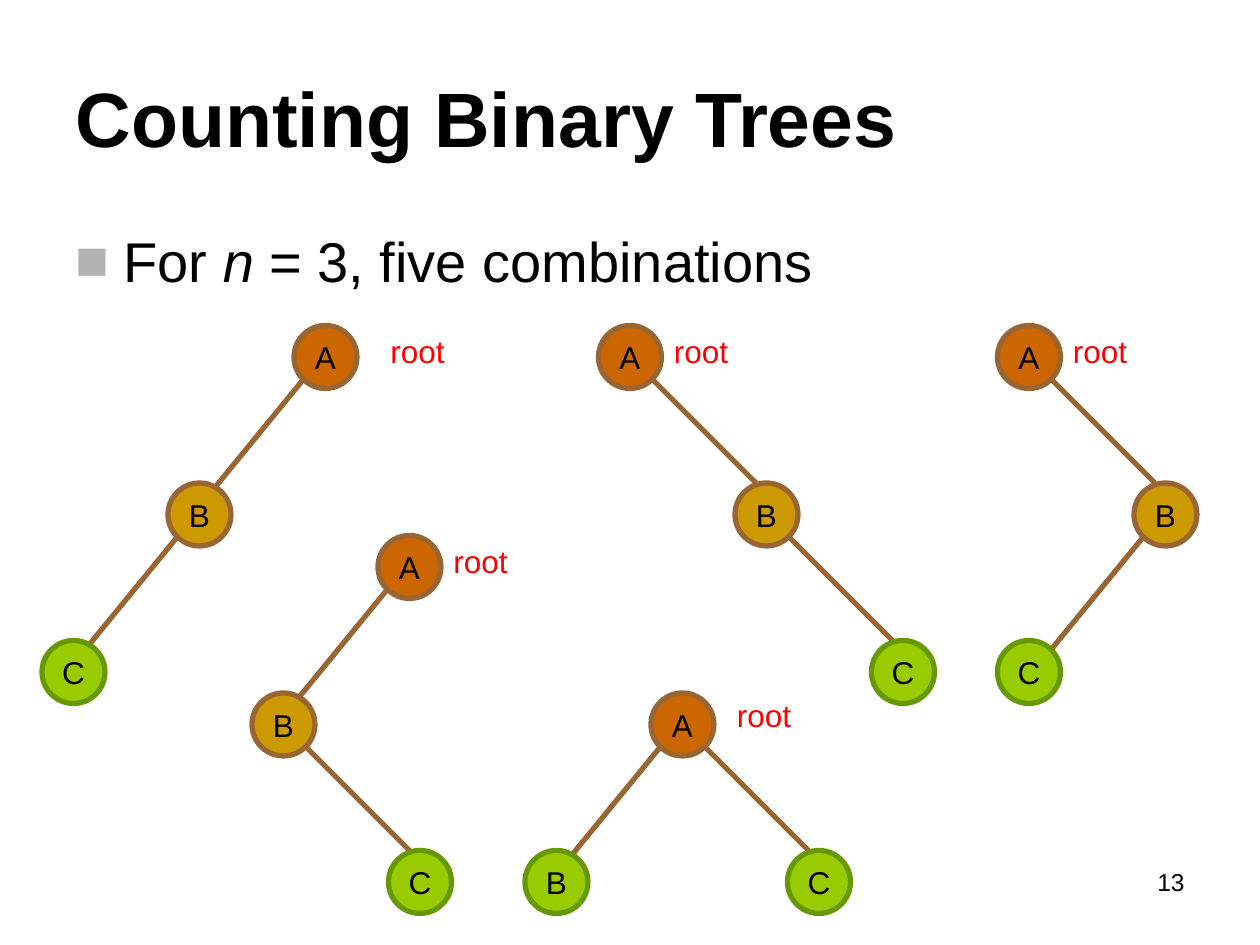
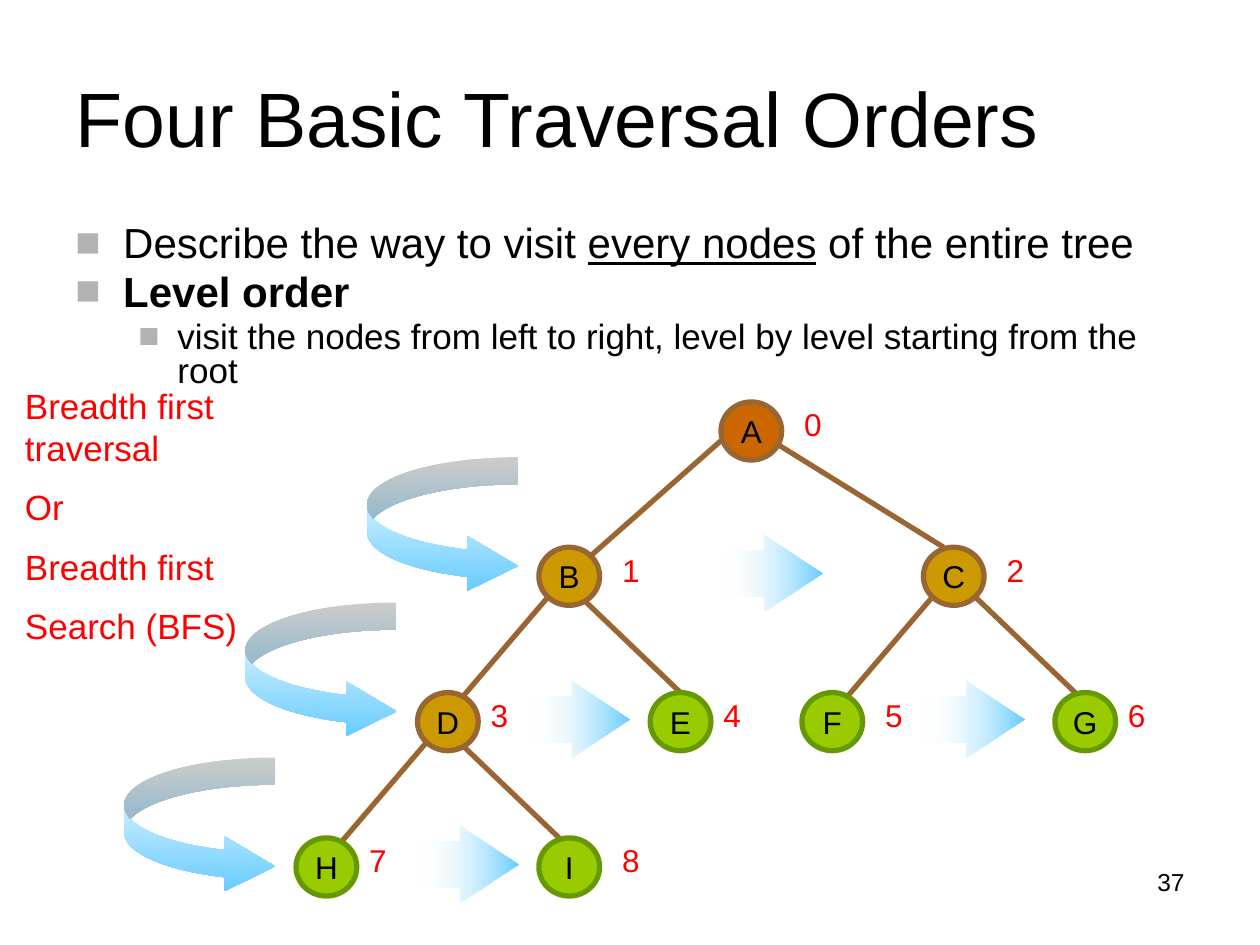
"""Builds two slides on binary trees: counting them and visiting them level by level."""
import pptx
import pptx.util
import pptx.dml.color
import pptx.enum.shapes
import pptx.enum.text
import pptx.oxml.ns
import lxml.etree

COLOURS = {"text": "000000", "note": "FF0000", "bullet": "B2B2B2", "root": "CC6600",
           "inner": "CC9900", "leaf": "99CC00", "branch": "996633", "leaf_rim": "669900",
           "sky": "66CCFF", "white": "FFFFFF"}
FONT = "Arial"
NODE_SPAN = 6
LEFT = ((1, 5), (-9, 11))
RIGHT = ((5, 5), (10, 10))
RIGHT_NEAR = ((4, 5), (10, 10))
ROOT_LEFT = ((0, 4), (-13, 12))
ROOT_RIGHT = ((5, 4), (17, 11))

COUNTING = {
    "title": "Counting Binary Trees", "title_bold": True, "number": "13", "body_height": 4.95,
    "body": [(0, 32, 1, [("For ", ""), ("n", "i"), (" = 3, five combinations", "")])],
    "grid": {"origin": (0, 0), "cell": (1 / 12, 1 / 12), "label_span": 19},
    "trees": [
        {"nodes": {"A": (28, 31, "root"), "B": (16, 46, "inner"), "C": (4, 61, "leaf")},
         "branches": [("A", LEFT), ("B", LEFT)], "labels": {"A": ("root", 8, 0)}},
        {"nodes": {"A": (57, 31, "root"), "B": (70, 46, "inner"), "C": (83, 61, "leaf")},
         "branches": [("A", RIGHT), ("B", RIGHT)], "labels": {"A": ("root", 6, 0)}},
        {"nodes": {"A": (95, 31, "root"), "B": (108, 46, "inner"), "C": (95, 61, "leaf")},
         "branches": [("A", RIGHT), ("B", LEFT)], "labels": {"A": ("root", 6, 0)}},
        {"nodes": {"A": (36, 51, "root"), "B": (24, 66, "inner"), "C": (37, 81, "leaf")},
         "branches": [("A", LEFT), ("B", RIGHT)], "labels": {"A": ("root", 6, 0)}},
        {"nodes": {"A": (62, 66, "root"), "B": (50, 81, "leaf"), "C": (75, 81, "leaf")},
         "branches": [("A", LEFT), ("A", RIGHT)], "labels": {"A": ("root", 7, -0.3)}},
    ],
}

LABEL_GAPS = {"A": 7, "B": 7, "C": 7, "D": 6, "E": 6, "F": 7, "G": 6, "H": 6, "I": 7}
TRAVERSAL = {
    "title": "Four Basic Traversal Orders", "title_bold": False, "number": "37", "body_height": 1.5,
    "body": [
        (0, 24, 0.8, [("Describe the way to visit ", ""), ("every nodes", "u"),
                      (" of the entire tree", "")]),
        (0, 24, 0.8, [("Level order", "b")]),
        (1, 20, 0.8, [("visit the nodes from left to right, level by level starting from the root",
                       "")]),
    ],
    "grid": {"origin": (2.35, 3.19), "cell": (0.0803, 0.0769), "label_span": 7},
    "trees": [
        {"nodes": {"A": (42, 0, "root"), "B": (24, 15, "inner"), "C": (62, 15, "inner"),
                   "D": (12, 30, "inner"), "E": (35, 30, "leaf"), "F": (50, 30, "leaf"),
                   "G": (75, 30, "leaf"), "H": (0, 45, "leaf"), "I": (24, 45, "leaf")},
         "branches": [("A", ROOT_LEFT), ("A", ROOT_RIGHT), ("B", LEFT), ("B", RIGHT_NEAR),
                      ("C", LEFT), ("C", RIGHT), ("D", LEFT), ("D", RIGHT_NEAR)],
         "labels": {name: (str(order), gap, -0.3)
                    for order, (name, gap) in enumerate(LABEL_GAPS.items())}},
    ],
}
BFS_NOTE = ["Breadth first traversal", "Or", "Breadth first", "Search (BFS)"]
NEXT_LEVEL_ARROWS = [(7, 5.7), (-5, 20.7), (-17, 36.7)]
NEXT_NODE_CENTRES = [(47, 17.7), (28, 32.7), (67, 32.7), (17, 47.7)]


def inches(*lengths):
    return [pptx.util.Inches(length) for length in lengths]


def rgb(name):
    return pptx.dml.color.RGBColor.from_string(COLOURS[name])


def add_run(paragraph, text, size, colour="text", style=""):
    run = paragraph.add_run()
    run.text = text
    font = run.font
    font.name, font.size = FONT, pptx.util.Pt(size)
    font.color.rgb = rgb(colour)
    font.bold, font.italic, font.underline = "b" in style, "i" in style, "u" in style


def add_text(slide, box, lines, size, colour="text", align=None):
    frame = slide.shapes.add_textbox(*inches(*box)).text_frame
    frame.word_wrap = True
    for index, line in enumerate(lines):
        paragraph = frame.add_paragraph() if index else frame.paragraphs[0]
        paragraph.alignment = align
        if index:
            paragraph.space_before = pptx.util.Pt(size / 2)
        add_run(paragraph, line, size, colour)


def add_bullet(paragraph, level):
    margin, hang = inches(*[(0.38, 0.38), (0.81, 0.31)][level])
    properties = paragraph._p.get_or_add_pPr()
    properties.set("marL", str(margin))
    properties.set("indent", str(-hang))
    qn = pptx.oxml.ns.qn
    colour = lxml.etree.SubElement(properties, qn("a:buClr"))
    lxml.etree.SubElement(colour, qn("a:srgbClr")).set("val", COLOURS["bullet"])
    lxml.etree.SubElement(properties, qn("a:buFont")).set("typeface", FONT)
    lxml.etree.SubElement(properties, qn("a:buChar")).set("char", "■")


def add_frame(deck, content):
    slide = deck.slides.add_slide(deck.slide_layouts[5])
    title = slide.shapes.title
    title.left, title.top, title.width, title.height = inches(0.5, 0.3, 9, 1.25)
    title.text_frame.vertical_anchor = pptx.enum.text.MSO_ANCHOR.MIDDLE
    title.text_frame.auto_size = pptx.enum.text.MSO_AUTO_SIZE.NONE
    heading = title.text_frame.paragraphs[0]
    heading.alignment = pptx.enum.text.PP_ALIGN.LEFT
    add_run(heading, content["title"], 44, style="b" if content["title_bold"] else "")

    body = slide.shapes.add_textbox(*inches(0.5, 1.75, 9, content["body_height"])).text_frame
    body.word_wrap = True
    for index, (level, size, spacing, runs) in enumerate(content["body"]):
        paragraph = body.add_paragraph() if index else body.paragraphs[0]
        paragraph.level = level
        paragraph.line_spacing = spacing
        paragraph.space_before = pptx.util.Pt(size * 0.2 if index else 0)
        add_bullet(paragraph, level)
        for text, style in runs:
            add_run(paragraph, text, size, style=style)
    add_text(slide, (7.17, 6.83, 2.33, 0.52), [content["number"]], 14,
             align=pptx.enum.text.PP_ALIGN.RIGHT)
    return slide


def place(grid, col, row):
    return [start + step * count
            for start, step, count in zip(grid["origin"], grid["cell"], (col, row))]


def add_branch(slide, grid, node, route):
    (col, row, _), (offset, reach) = node, route
    start = (col + offset[0], row + offset[1])
    end = (start[0] + reach[0], start[1] + reach[1])
    branch = slide.shapes.add_connector(pptx.enum.shapes.MSO_CONNECTOR.STRAIGHT,
                                        *inches(*place(grid, *start), *place(grid, *end)))
    branch.line.color.rgb = rgb("branch")
    branch.line.width = pptx.util.Pt(3)
    lxml.etree.SubElement(branch._element.spPr, pptx.oxml.ns.qn("a:effectLst"))


def add_node(slide, grid, name, node):
    col, row, rank = node
    size = [step * NODE_SPAN for step in grid["cell"]]
    circle = slide.shapes.add_shape(pptx.enum.shapes.MSO_SHAPE.OVAL,
                                    *inches(*place(grid, col, row), *size))
    circle.shadow.inherit = False
    circle.fill.solid()
    circle.fill.fore_color.rgb = rgb(rank)
    circle.line.color.rgb = rgb("leaf_rim" if rank == "leaf" else "branch")
    circle.line.width = pptx.util.Pt(3)
    frame = circle.text_frame
    frame.word_wrap = False
    frame.vertical_anchor = pptx.enum.text.MSO_ANCHOR.MIDDLE
    frame.paragraphs[0].alignment = pptx.enum.text.PP_ALIGN.CENTER
    add_run(frame.paragraphs[0], name, 18)


def add_tree(slide, grid, tree):
    nodes = tree["nodes"]
    for parent, route in tree["branches"]:
        add_branch(slide, grid, nodes[parent], route)
    for name, node in nodes.items():
        add_node(slide, grid, name, node)
    for name, (label, gap, drop) in tree["labels"].items():
        col, row, _ = nodes[name]
        box = (*place(grid, col + gap, row + drop), grid["label_span"] * grid["cell"][0], 0.4)
        add_text(slide, box, [label], 18, "note")


def add_gradient_arrow(slide, preset, box, adjustments, colours):
    arrow = slide.shapes.add_shape(preset, *inches(*box))
    arrow.shadow.inherit = False
    arrow.line.fill.background()
    for index, value in enumerate(adjustments):
        arrow.adjustments[index] = value
    arrow.fill.gradient()
    arrow.fill.gradient_angle = 270
    for stop, colour in zip(arrow.fill.gradient_stops, colours):
        stop.color.rgb = rgb(colour)
    return arrow


def add_visit_arrows(slide, grid):
    presets = pptx.enum.shapes.MSO_SHAPE
    for col, row in NEXT_LEVEL_ARROWS:
        add_gradient_arrow(slide, presets.CURVED_RIGHT_ARROW, (*place(grid, col, row), 1.2, 1.08),
                           (0.2, 0.4, 0.37), ("white", "sky"))
    width, height = 0.61, 0.8
    for centre in NEXT_NODE_CENTRES:
        x, y = place(grid, *centre)
        arrow = add_gradient_arrow(slide, presets.UP_ARROW,
                                   (x - width / 2, y - height / 2, width, height),
                                   (0.6, 0.76), ("sky", "white"))
        arrow.rotation = 90
        qn = pptx.oxml.ns.qn
        fading = arrow._element.spPr.findall(".//" + qn("a:srgbClr"))[-1]
        lxml.etree.SubElement(fading, qn("a:alpha")).set("val", "0")


def main():
    deck = pptx.Presentation()
    deck.slide_width, deck.slide_height = inches(10, 7.5)
    for content in (COUNTING, TRAVERSAL):
        slide = add_frame(deck, content)
        for tree in content["trees"]:
            add_tree(slide, content["grid"], tree)
    add_visit_arrows(slide, TRAVERSAL["grid"])
    add_text(slide, (0.1, 3, 2.33, 2.29), BFS_NOTE, 20, "note")
    deck.save("out.pptx")


if __name__ == "__main__":
    main()
